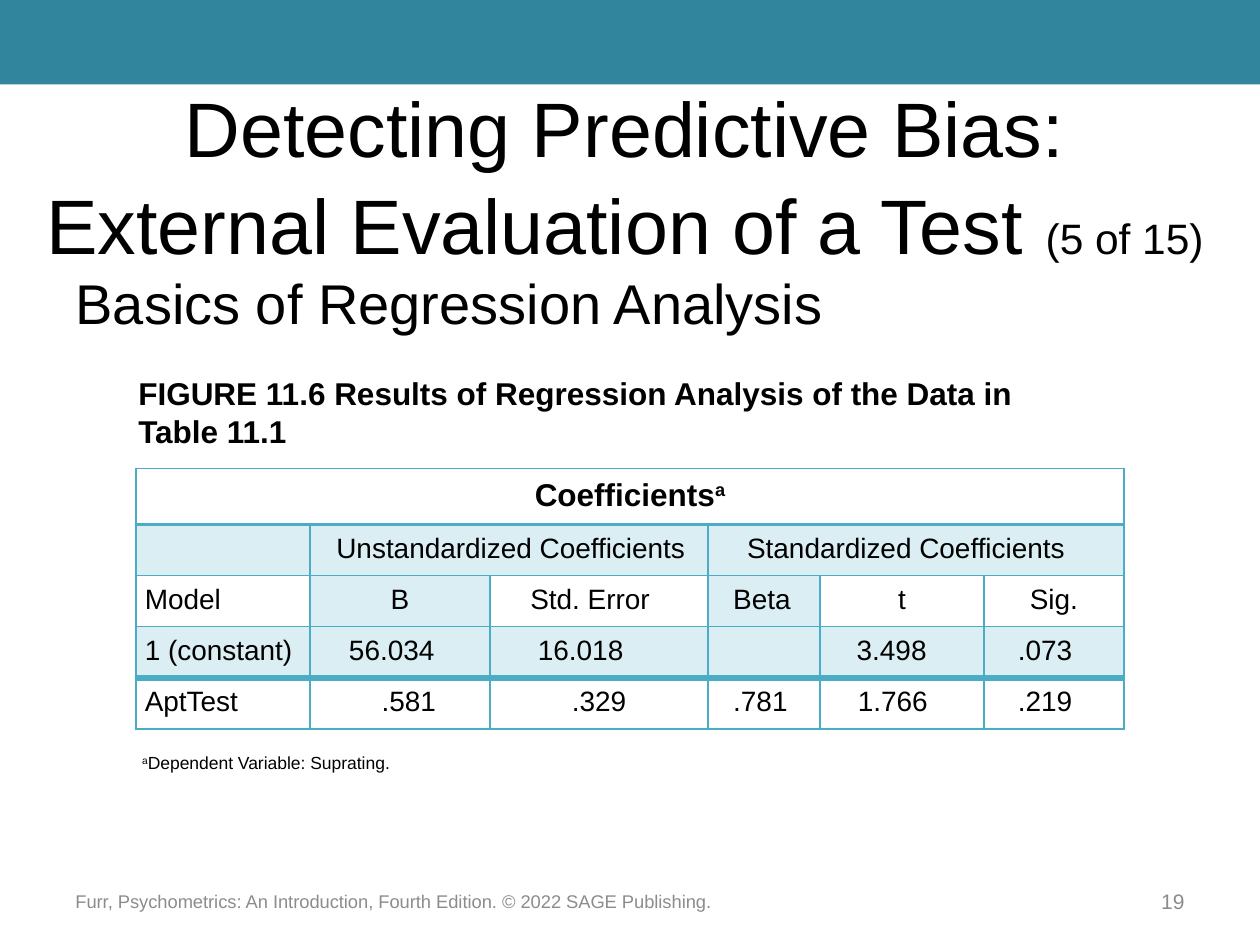
from dataclasses import dataclass
from lxml.etree import SubElement
from pptx import Presentation
from pptx.dml.color import RGBColor as Rgb
from pptx.enum.shapes import MSO_SHAPE as Shape
from pptx.enum.text import MSO_ANCHOR as Anchor, MSO_AUTO_SIZE as Fit, PP_ALIGN as Align
from pptx.oxml.ns import qn
from pptx.util import Inches, Pt


@dataclass
class Theme:
    font: str = "Arial"
    ink: str = "000000"
    band: str = "31859C"
    grid: str = "4BACC6"
    gray: str = "8C8C8C"
    title: float = 44.1
    count: float = 24.3
    body: float = 32
    head: float = 18
    cell: float = 16
    page: float = 12
    foot: float = 10.5
    note: float = 10


class Deck:
    def __init__(self, theme):
        self.theme = theme
        self.pres = Presentation()
        self.pres.slide_width, self.pres.slide_height = Inches(10), Inches(7.5)
        self.slide = self.pres.slides.add_slide(self.pres.slide_layouts[1])

    def style(self, para, size, color=None, bold=False, align=Align.LEFT):
        para.alignment = align
        font = para.font
        font.name, font.size, font.bold = self.theme.font, Pt(size), bold
        font.color.rgb = Rgb.from_string(color or self.theme.ink)

    def place(self, shape, box):
        shape.left, shape.top, shape.width, shape.height = map(Inches, box)

    def raised(self, para, text):
        run = para.add_run()
        run.text = text
        run._r.get_or_add_rPr().set("baseline", "30000")

    def band(self, *box):
        shape = self.slide.shapes.add_shape(Shape.RECTANGLE, *map(Inches, box))
        shape.shadow.inherit = False
        shape.fill.solid()
        shape.fill.fore_color.rgb = Rgb.from_string(self.theme.band)
        shape.line.fill.background()

    def title(self, text, count, *box):
        shape = self.slide.shapes.title
        self.place(shape, box)
        frame = shape.text_frame
        frame.auto_size, frame.vertical_anchor = Fit.NONE, Anchor.MIDDLE
        para = frame.paragraphs[0]
        para.line_spacing = 1.04
        self.style(para, self.theme.title, align=Align.CENTER)
        for part, size in ((text, self.theme.title), (count, self.theme.count)):
            run = para.add_run()
            run.text, run.font.size = part, Pt(size)

    def body(self, text, *box):
        shape = self.slide.placeholders[1]
        self.place(shape, box)
        shape.text_frame.auto_size = Fit.NONE
        para = shape.text_frame.paragraphs[0]
        para.text = text
        props = para._p.get_or_add_pPr()
        props.set("marL", "0")
        props.set("indent", "0")
        SubElement(props, qn("a:buNone"))
        self.style(para, self.theme.body)

    def text(self, text, size, *box, mark="", wrap=True, anchor=Anchor.TOP, **look):
        frame = self.slide.shapes.add_textbox(*map(Inches, box)).text_frame
        frame.word_wrap, frame.vertical_anchor = wrap, anchor
        para = frame.paragraphs[0]
        if mark:
            self.raised(para, mark)
        para.add_run().text = text
        self.style(para, size, **look)

    def edges(self, cell, top, base):
        props = cell._tc.get_or_add_tcPr()
        for side, width in (("L", 1), ("R", 1), ("T", top), ("B", base)):
            line = SubElement(props, qn(f"a:ln{side}"), w=str(Pt(width)))
            fill = SubElement(line, qn("a:solidFill"))
            SubElement(fill, qn("a:srgbClr"), val=self.theme.grid)

    def tint(self, cell, on):
        if not on:
            cell.fill.background()
            return
        cell.fill.solid()
        cell.fill.fore_color.rgb = Rgb.from_string(self.theme.grid)
        color = cell._tc.tcPr.find(qn("a:solidFill")).find(qn("a:srgbClr"))
        SubElement(color, qn("a:alpha"), val="20000")

    def label(self, cell, text, indent, size, bold=False, mark=""):
        cell.margin_left = cell.margin_right = Inches(0.07)
        cell.margin_top = cell.margin_bottom = Inches(0.07)
        para = cell.text_frame.paragraphs[0]
        para.add_run().text = text
        if mark:
            self.raised(para, mark)
        if indent:
            para._p.get_or_add_pPr().set("marL", str(Inches(indent)))
        align = Align.CENTER if indent is None else Align.LEFT
        self.style(para, size, bold=bold, align=align)

    def table(self, left, top, cols, highs, rows, tints, rules, spans):
        grid = self.slide.shapes.add_table(
            len(highs), len(cols), Inches(left), Inches(top),
            Inches(sum(cols)), Inches(sum(highs))).table
        grid.first_row = grid.horz_banding = False
        for col, width in zip(grid.columns, cols):
            col.width = Inches(width)
        for row, high in zip(grid.rows, highs):
            row.height = Inches(high)
        for r, c, last in spans:
            grid.cell(r, c).merge(grid.cell(r, last))
        for r in range(len(highs)):
            for c in range(len(cols)):
                cell = grid.cell(r, c)
                self.edges(cell, rules[r], rules[r + 1])
                self.tint(cell, c in tints[r])
                if c in rows[r]:
                    text, indent, *mark = rows[r][c]
                    size = self.theme.cell if r else self.theme.head
                    self.label(cell, text, indent, size, r == 0, "".join(mark))


def main():
    theme = Theme()
    deck = Deck(theme)
    deck.band(0, 0, 10, 0.67)
    deck.title("Detecting Predictive Bias: External Evaluation of a Test ",
               "(5 of 15)", 0.17, 0.75, 9.58, 1.25)
    deck.body("Basics of Regression Analysis", 0.5, 2.08, 9, 4.45)
    deck.text("Furr, Psychometrics: An Introduction, Fourth Edition. © 2022 SAGE Publishing.",
              theme.foot, 0.5, 6.95, 8.25, 0.4, anchor=Anchor.MIDDLE, color=theme.gray)
    deck.text("19", theme.page, 9, 6.95, 0.5, 0.4, anchor=Anchor.MIDDLE,
              color=theme.gray, align=Align.RIGHT)
    rows = [
        {0: ("Coefficients", None, "a")},
        {1: ("Unstandardized Coefficients", 0.14), 3: ("Standardized Coefficients", 0.24)},
        {0: ("Model", 0), 1: ("B", None), 2: ("Std. Error", 0.25),
         3: ("Beta", 0.13), 4: ("t", None), 5: ("Sig.", None)},
        {0: ("1 (constant)", 0), 1: ("56.034", 0.24), 2: ("16.018", 0.31),
         4: ("3.498", 0.22), 5: (".073", 0.2)},
        {0: ("AptTest", 0), 1: (".581", 0.5), 2: (".329", None),
         3: (".781", 0.13), 4: ("1.766", 0.23), 5: (".219", 0.2)},
    ]
    deck.table(1.08, 3.72, [1.38, 1.43, 1.73, 0.89, 1.3, 1.11], [0.43] + [0.4] * 4, rows,
               tints=[(), range(6), (1, 3), range(6), ()],
               rules=[1, 2, 1, 1, 4, 1], spans=[(0, 0, 5), (1, 1, 2), (1, 3, 5)])
    deck.text("FIGURE 11.6 Results of Regression Analysis of the Data in Table 11.1",
              theme.head, 1, 2.92, 7.83, 0.71, bold=True)
    deck.text("Dependent Variable: Suprating.", theme.note, 1.03, 5.92, 2.22, 0.27,
              mark="a", wrap=False)
    deck.pres.save("out.pptx")


if __name__ == "__main__":
    main()
